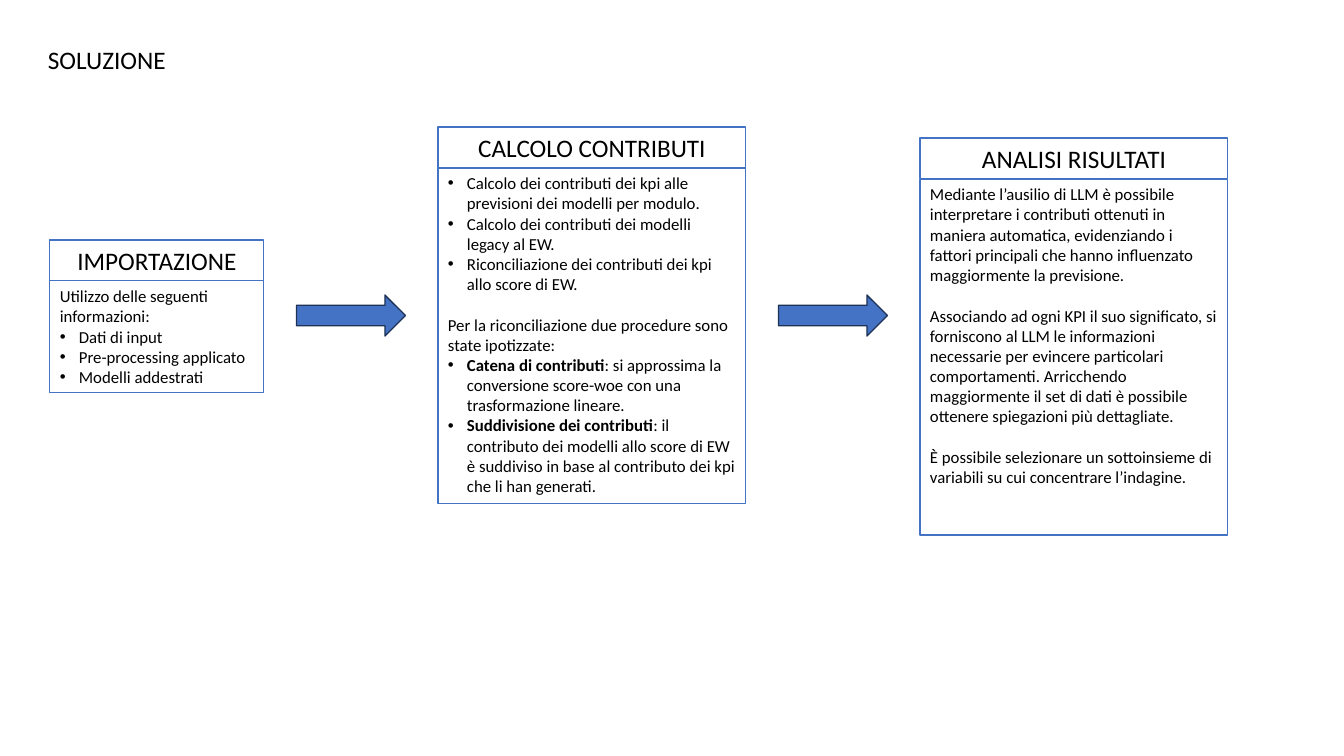
from lxml import etree
from pptx import Presentation, util as u
from pptx.dml.color import RGBColor
from pptx.enum import shapes, text
from pptx.oxml.ns import qn

TITLE = "SOLUZIONE"
PLAIN, BULLET, NEW_BLOCK = "plain", "bullet", "new block"
STEPS = [
    {"heading": "IMPORTAZIONE", "left": 50, "top": 240, "width": 214, "body_height": 112,
     "body": [
         (PLAIN, "", "Utilizzo delle seguenti informazioni:"),
         (BULLET, "", "Dati di input"),
         (BULLET, "", "Pre-processing applicato"),
         (BULLET, "", "Modelli addestrati"),
     ]},
    {"heading": "CALCOLO CONTRIBUTI", "left": 438, "top": 127, "width": 308, "body_height": 336,
     "body": [
         (BULLET, "", "Calcolo dei contributi dei kpi alle previsioni dei modelli per modulo."),
         (BULLET, "", "Calcolo dei contributi dei modelli legacy al EW."),
         (BULLET, "", "Riconciliazione dei contributi dei kpi allo score di EW."),
         (NEW_BLOCK, "", "Per la riconciliazione due procedure sono state ipotizzate:"),
         (BULLET, "Catena di contributi",
          ": si approssima la conversione score-woe con una trasformazione lineare."),
         (BULLET, "Suddivisione dei contributi",
          ": il contributo dei modelli allo score di EW è suddiviso in base al "
          "contributo dei kpi che li han generati."),
     ]},
    {"heading": "ANALISI RISULTATI", "left": 920, "top": 138, "width": 308, "body_height": 356,
     "body": [
         (PLAIN, "", "Mediante l’ausilio di LLM è possibile"),
         (PLAIN, "", "interpretare i contributi ottenuti in maniera automatica, evidenziando "
                     "i fattori principali che hanno influenzato maggiormente la previsione."),
         (NEW_BLOCK, "", "Associando ad ogni KPI il suo significato, si forniscono al LLM le "
                         "informazioni necessarie per evincere particolari comportamenti. "
                         "Arricchendo maggiormente il set di dati è possibile ottenere "
                         "spiegazioni più dettagliate."),
         (NEW_BLOCK, "", "È possibile selezionare un sottoinsieme di variabili su cui "
                         "concentrare l’indagine."),
     ]},
]
BLUE, NAVY, BLACK = "4472C4", "1E3256", "000000"
HEADING_HEIGHT = 41
ARROW_WIDTH, ARROW_HEIGHT, ARROW_TOP = 109, 41, 295
BULLET_INDENT = 19
BLOCK_GAP = 14.6


def px(length):
    return u.Emu(round(length * 914400 / 100.8))


def color(value):
    return RGBColor.from_string(value)


def write(frame, paragraphs, size=12, align=text.PP_ALIGN.LEFT):
    frame.word_wrap = True
    frame.vertical_anchor = text.MSO_ANCHOR.TOP
    for index, (style, lead, rest) in enumerate(paragraphs):
        paragraph = frame.add_paragraph() if index else frame.paragraphs[0]
        paragraph.alignment = align
        if style == NEW_BLOCK:
            paragraph.space_before = u.Pt(BLOCK_GAP)
        if style == BULLET:
            properties = paragraph._p.get_or_add_pPr()
            properties.set("marL", str(px(BULLET_INDENT)))
            properties.set("indent", str(-px(BULLET_INDENT)))
            etree.SubElement(properties, qn("a:buFont")).set("typeface", "Arial")
            etree.SubElement(properties, qn("a:buChar")).set("char", "•")
        for words, bold in ((lead, True), (rest, False)):
            if words:
                run = paragraph.add_run()
                run.text = words
                run.font.name = "Calibri"
                run.font.size = u.Pt(size)
                run.font.bold = bold
                run.font.color.rgb = color(BLACK)


def draw(parent, preset, left, top, width, height, line, weight, fill=None):
    shape = parent.add_shape(preset, px(left), px(top), px(width), px(height))
    shape.shadow.inherit = False
    if fill:
        shape.fill.solid()
        shape.fill.fore_color.rgb = color(fill)
    else:
        shape.fill.background()
    shape.line.color.rgb = color(line)
    shape.line.width = u.Pt(weight)
    return shape


deck = Presentation()
deck.slide_width, deck.slide_height = px(1344), px(756)
slide = deck.slides.add_slide(deck.slide_layouts[6])

title = slide.shapes.add_textbox(px(38), px(39), px(242), px(41))
write(title.text_frame, [(PLAIN, "", TITLE)], size=18)

for step in STEPS:
    card = slide.shapes.add_group_shape().shapes
    left, top, width = step["left"], step["top"], step["width"]
    heading = draw(card, shapes.MSO_SHAPE.RECTANGLE, left, top, width, HEADING_HEIGHT, BLUE, 0.75)
    write(heading.text_frame, [(PLAIN, "", step["heading"])], size=18, align=text.PP_ALIGN.CENTER)
    body = draw(card, shapes.MSO_SHAPE.RECTANGLE, left, top + HEADING_HEIGHT, width,
                step["body_height"], BLUE, 0.75)
    write(body.text_frame, step["body"])

for before, after in zip(STEPS, STEPS[1:]):
    middle = (before["left"] + before["width"] + after["left"]) / 2
    draw(slide.shapes, shapes.MSO_SHAPE.RIGHT_ARROW, middle - ARROW_WIDTH / 2, ARROW_TOP,
         ARROW_WIDTH, ARROW_HEIGHT, NAVY, 1, fill=BLUE)

deck.save("out.pptx")
